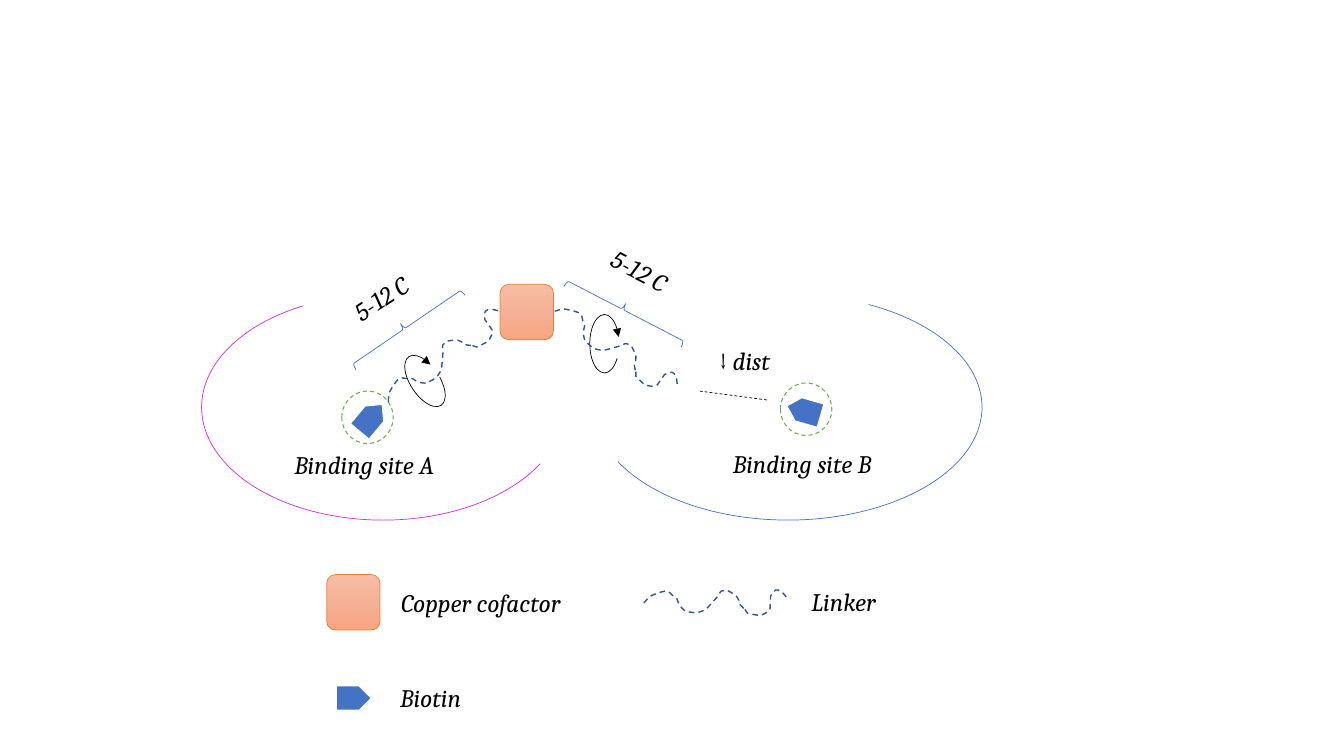
from copy import deepcopy
from math import cos, radians, sin

from lxml import etree
from pptx import Presentation
from pptx.dml.color import RGBColor
from pptx.enum.dml import MSO_LINE
from pptx.enum.shapes import MSO_CONNECTOR, MSO_SHAPE
from pptx.enum.text import MSO_AUTO_SIZE
from pptx.oxml.ns import qn
from pptx.util import Inches, Pt

ARC, OVAL = MSO_SHAPE.ARC, MSO_SHAPE.OVAL
BRACE, PENTAGON = MSO_SHAPE.RIGHT_BRACE, MSO_SHAPE.PENTAGON
ROUNDED = MSO_SHAPE.ROUNDED_RECTANGLE
STRAIGHT = MSO_CONNECTOR.STRAIGHT
DASH = MSO_LINE.DASH
FIT_TEXT = MSO_AUTO_SIZE.SHAPE_TO_FIT_TEXT

BLACK = RGBColor(0x00, 0x00, 0x00)
WHITE = RGBColor(0xFF, 0xFF, 0xFF)
BLUE = RGBColor(0x44, 0x72, 0xC4)
NAVY = RGBColor(0x32, 0x54, 0x91)
GREEN = RGBColor(0x70, 0xAD, 0x47)
MAGENTA = RGBColor(0xCE, 0x2E, 0xDA)
ORANGE = RGBColor(0xED, 0x7D, 0x31)
COPPER_STOPS = (
    RGBColor(0xF7, 0xBD, 0xA5),
    RGBColor(0xF5, 0xB1, 0x96),
    RGBColor(0xF8, 0xA5, 0x82),
)

LINKER_SIZE = (1.33, 0.6)
LINKER_TILT = 20.9
LINKER_START = (6.39, 5.98)
LINKER_CURVES = (
    (6.41, 5.96, 6.42, 5.94, 6.44, 5.92),
    (6.47, 5.9, 6.55, 5.87, 6.6, 5.86),
    (6.61, 5.86, 6.63, 5.87, 6.64, 5.87),
    (6.65, 5.88, 6.67, 5.9, 6.68, 5.91),
    (6.69, 5.92, 6.71, 5.93, 6.72, 5.94),
    (6.73, 5.96, 6.73, 5.98, 6.74, 5.99),
    (6.76, 6.03, 6.77, 6.03, 6.8, 6.06),
    (6.85, 6.07, 6.92, 6.09, 6.97, 6.06),
    (6.99, 6.06, 7.01, 6.04, 7.02, 6.03),
    (7.11, 5.93),
    (7.14, 5.89),
    (7.15, 5.88, 7.15, 5.86, 7.16, 5.86),
    (7.21, 5.85),
    (7.22, 5.85, 7.29, 5.89, 7.31, 5.91),
    (7.37, 6, 7.29, 5.93, 7.36, 6.01),
    (7.45, 6.1, 7.34, 5.96, 7.42, 6.08),
    (7.43, 6.08, 7.53, 6.11, 7.56, 6.1),
    (7.58, 6.09, 7.6, 6.08, 7.62, 6.07),
    (7.66, 6.02, 7.64, 6.06, 7.65, 5.95),
    (7.65, 5.91),
    (7.67, 5.89, 7.69, 5.83, 7.73, 5.85),
    (7.76, 5.86, 7.78, 5.88, 7.8, 5.91),
    (7.83, 5.95),
)


def level_linker():
    c, s = cos(radians(LINKER_TILT)), sin(radians(LINKER_TILT))
    points = [LINKER_START]
    for curve in LINKER_CURVES:
        points.extend(zip(curve[::2], curve[1::2]))
    return [(Inches(x * c + y * s), Inches(y * c - x * s)) for x, y in points]


class Diagram:
    font, size = "Cambria", Pt(18)

    def __init__(self, page):
        self.page = page
        self.linker_points = level_linker()

    def outline(self, shape, color, width, dash=None):
        shape.line.color.rgb = color
        shape.line.width = Pt(width)
        if dash:
            shape.line.dash_style = dash

    def shape(self, kind, box, color, width=0.5, fill=None, dash=None, turn=0, adjust=()):
        shape = self.page.shapes.add_shape(kind, *map(Inches, box))
        shape.shadow.inherit = False
        if fill is None:
            shape.fill.background()
        else:
            shape.fill.solid()
            shape.fill.fore_color.rgb = fill
        self.outline(shape, color, width, dash)
        shape.rotation = turn
        for index, value in enumerate(adjust):
            shape.adjustments[index] = value
        return shape

    def arc(self, box, color, adjust, turn=0, flip=False, arrow=False):
        shape = self.shape(ARC, box, color, turn=turn, adjust=adjust)
        properties = shape.element.spPr
        if flip:
            properties.find(qn("a:xfrm")).set("flipH", "1")
        if arrow:
            line = properties.find(qn("a:ln"))
            etree.SubElement(line, qn("a:headEnd")).set("type", "triangle")

    def site(self, left, top):
        self.shape(OVAL, (left, top, 0.51, 0.52), GREEN, 0.75, dash=DASH)

    def biotin(self, left, top, turn=0):
        self.shape(PENTAGON, (left, top, 0.36, 0.25), WHITE, 1.5, fill=BLUE, turn=turn)

    def brace(self, left, top, turn):
        self.shape(BRACE, (left, top, 0.13, 1.31), BLUE, turn=turn, adjust=(0.176, 0.475))

    def cofactor(self, left, top):
        shape = self.shape(ROUNDED, (left, top, 0.53, 0.55), ORANGE)
        shape.fill.gradient()
        shape.fill.gradient_angle = 270
        stops = shape.element.spPr.find(".//" + qn("a:gsLst"))
        stops.insert(1, deepcopy(stops[0]))
        for index, stop in enumerate(shape.fill.gradient_stops):
            stop.color.rgb = COPPER_STOPS[index]
            stop.position = index / 2

    def bend(self, shape):
        segments = iter(shape.element.spPr.findall(".//" + qn("a:lnTo")))
        for curve in LINKER_CURVES:
            segment = next(segments)
            if len(curve) == 2:
                continue
            bezier = etree.Element(qn("a:cubicBezTo"))
            segment.addprevious(bezier)
            for control in (segment, next(segments), next(segments)):
                bezier.append(control[0])
                control.getparent().remove(control)

    def linker(self, left, top, turn):
        start, *rest = self.linker_points
        builder = self.page.shapes.build_freeform(*start)
        builder.add_line_segments(rest, close=False)
        shape = builder.convert_to_shape()
        self.bend(shape)
        shape.left, shape.top = Inches(left), Inches(top)
        shape.width, shape.height = map(Inches, LINKER_SIZE)
        shape.rotation = turn
        shape.shadow.inherit = False
        shape.fill.background()
        self.outline(shape, NAVY, 1, DASH)

    def line(self, start, end):
        line = self.page.shapes.add_connector(STRAIGHT, *map(Inches, start + end))
        self.outline(line, BLACK, 0.5, DASH)
        etree.SubElement(line.element.spPr, qn("a:effectLst"))

    def label(self, text, left, top, width, turn=0, symbol=""):
        box = self.page.shapes.add_textbox(*map(Inches, (left, top, width, 0.4)))
        box.rotation = turn
        box.text_frame.word_wrap = False
        box.text_frame.auto_size = FIT_TEXT
        para = box.text_frame.paragraphs[0]
        for words, italic in ((symbol, False), (text, True)):
            if words:
                span = para.add_run()
                span.text = words
                span.font.name = self.font
                span.font.size = self.size
                span.font.italic = italic
                span.font.color.rgb = BLACK


def main():
    deck = Presentation()
    deck.slide_width, deck.slide_height = Inches(13.33), Inches(7.5)
    diagram = Diagram(deck.slides.add_slide(deck.slide_layouts[6]))

    diagram.arc((4.07, 3.49, 0.29, 0.58), BLACK, (130.864, 97.064), 326.5, True, True)
    diagram.arc((5.85, 3.12, 0.29, 0.58), BLACK, (123.341, 78.712), 0, True, True)
    diagram.site(3.39, 3.88)
    diagram.arc((2, 2.92, 3.6, 2.24), MAGENTA, (11.886, 139.081))
    diagram.arc((5.89, 2.92, 3.85, 2.24), BLUE, (10.681, 139.081), flip=True)
    diagram.biotin(3.5, 4.02, 309.9)
    diagram.site(7.74, 3.8)
    diagram.line((6.94, 3.88), (7.62, 3.97))
    diagram.label("dist", 7.04, 3.38, 0.76, symbol="↓ ")
    diagram.label("Binding site A", 2.82, 4.41, 1.65)
    diagram.label("Binding site B", 7.17, 4.4, 1.65)
    diagram.linker(3.74, 3.21, 343.5)
    diagram.linker(5.47, 3.15, 54)
    diagram.cofactor(4.96, 2.82)
    diagram.brace(3.97, 2.59, 235.7)
    diagram.brace(6.14, 2.43, 297.4)
    diagram.label("5-12 C", 3.38, 2.73, 0.88, 326.6)
    diagram.label("5-12 C", 5.95, 2.51, 0.88, 27.8)
    diagram.label("Biotin", 3.87, 6.72, 0.84)
    diagram.label("Copper cofactor", 3.88, 5.78, 1.87)
    diagram.linker(6.45, 5.64, LINKER_TILT)
    diagram.label("Linker", 7.95, 5.77, 0.88)
    diagram.biotin(7.79, 3.95, 196.2)
    diagram.biotin(3.33, 6.8)
    diagram.cofactor(3.24, 5.7)
    deck.save("out.pptx")


if __name__ == "__main__":
    main()
